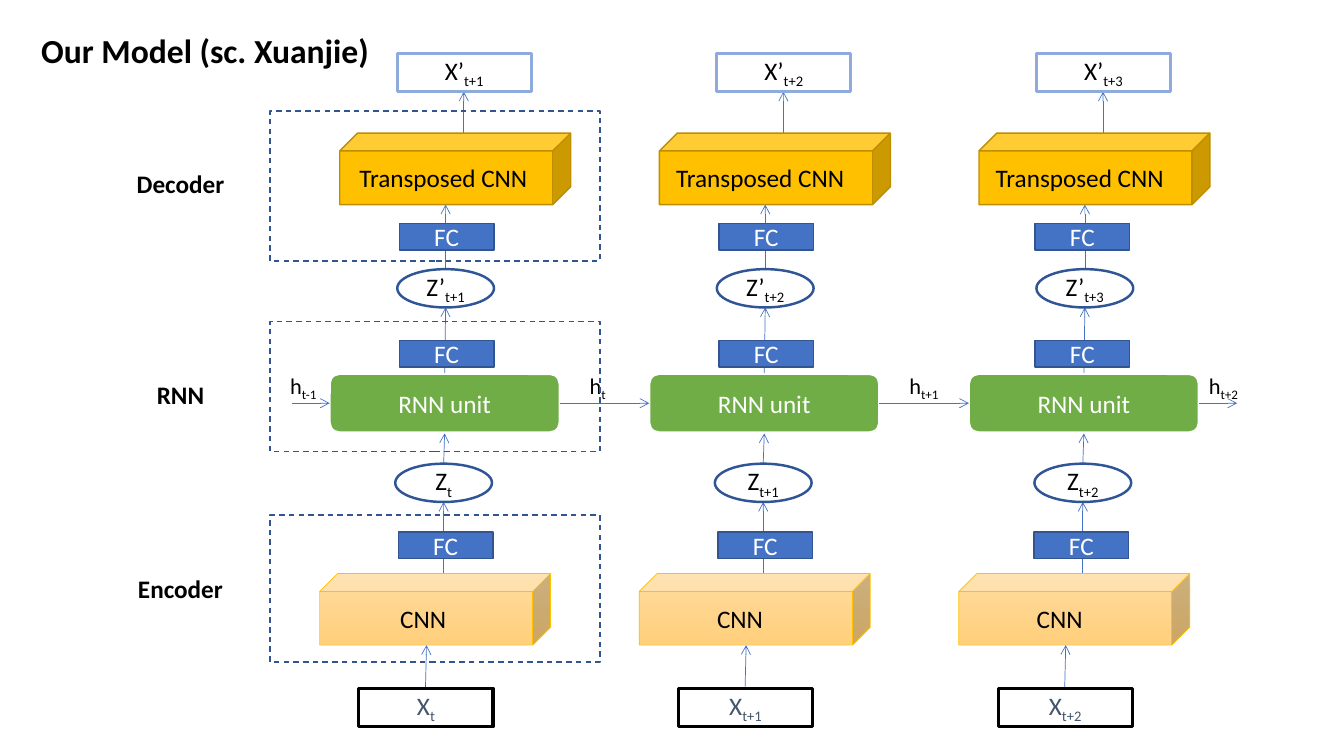
import pptx
import pptx.util
import pptx.dml.color
import pptx.enum.dml
import pptx.enum.shapes
import pptx.enum.text
import pptx.oxml
import pptx.oxml.ns

KIND = pptx.enum.shapes.MSO_SHAPE
ALIGN = pptx.enum.text.PP_ALIGN
HUES = {
    "white": "FFFFFF", "black": "000000", "slate": "44546A",
    "blue": "4472C4", "navy": "325491", "ring": "2F5597", "sky": "8FAADC",
    "green": "70AD47", "gold": "FFC000", "bronze": "BD8E00",
    "cream": "FFDB9E", "peach": "FFD07C",
}


class Slide:
    font = "Calibri"
    cell = 0.1

    def __init__(self, deck):
        self.page = deck.slides.add_slide(deck.slide_layouts[6])

    def grid(self, *cells):
        return [pptx.util.Inches(self.cell * n) for n in cells]

    def hue(self, name):
        return pptx.dml.color.RGBColor.from_string(HUES[name])

    def paint(self, fill, name):
        if name is None:
            fill.background()
        elif isinstance(name, tuple):
            fill.gradient()
            fill.gradient_angle = 270
            for stop, part in zip(fill.gradient_stops, name):
                stop.color.rgb = self.hue(part)
        else:
            fill.solid()
            fill.fore_color.rgb = self.hue(name)

    def letter(self, frame, text, sub="", size=18, ink="black", bold=False, align=ALIGN.CENTER):
        frame.text = text
        para = frame.paragraphs[0]
        para.alignment = align
        if sub:
            low = para.add_run()
            low.text = sub
            low._r.get_or_add_rPr().set("baseline", "-25000")
        for run in para.runs:
            run.font.name = self.font
            run.font.size = pptx.util.Pt(size)
            run.font.bold = bold
            run.font.color.rgb = self.hue(ink)

    def shape(self, kind, box, fill, edge, width, text="", sub="", ink="black", dash=False, pad=1):
        item = self.page.shapes.add_shape(kind, *self.grid(*box))
        item.shadow.inherit = False
        self.paint(item.fill, fill)
        item.line.color.rgb = self.hue(edge)
        item.line.width = pptx.util.Pt(width)
        if dash:
            item.line.dash_style = pptx.enum.dml.MSO_LINE.DASH
        if text:
            item.text_frame.margin_right = self.grid(pad)[0]
            self.letter(item.text_frame, text, sub, ink=ink)

    def label(self, box, text, sub="", **style):
        item = self.page.shapes.add_textbox(*self.grid(*box))
        item.text_frame.word_wrap = True
        self.letter(item.text_frame, text, sub, **style)

    def arrow(self, *ends):
        line = self.page.shapes.add_connector(
            pptx.enum.shapes.MSO_CONNECTOR.STRAIGHT, *self.grid(*ends))
        line.line.color.rgb = self.hue("blue")
        line.line.width = pptx.util.Pt(0.5)
        tip = pptx.oxml.parse_xml(f'<a:tailEnd {pptx.oxml.ns.nsdecls("a")} type="arrow"/>')
        line.line._get_or_add_ln().append(tip)
        props = line._element.spPr
        props.append(pptx.oxml.parse_xml(f'<a:effectLst {pptx.oxml.ns.nsdecls("a")}/>'))


def step(n):
    return f"t+{n}" if n else "t"


deck = pptx.Presentation()
deck.slide_width = pptx.util.Inches(13.33)
deck.slide_height = pptx.util.Inches(7.5)
slide = Slide(deck)

PITCH = 31.7
RISES = [
    (42.2, 68.3, 42.3, 64), (44, 56.9, 44, 49.8), (44, 46, 44.1, 43),
    (44.1, 37.1, 44.2, 30.5), (44.2, 26.7, 44.2, 20.3), (46, 13.2, 46, 9.1),
]
DENSE = [(39.5, 52.8), (39.6, 33.8), (39.6, 22.2)]

for n, (nudge, pad) in enumerate([(0, 1.57), (0, 2.13), (-0.35, 2.13)]):
    x = n * PITCH
    for left, top, right, end in RISES:
        slide.arrow(x + left, top, x + right, end)
    slide.shape(KIND.CUBE, (x + 31.7, 56.9, 22.9, 7.1), ("cream", "peach"), "gold", 0.5,
                "CNN", pad=pad)
    slide.shape(KIND.ROUNDED_RECTANGLE, (x + 32.7, 37.1, 22.8, 5.8), "green", "white", 1.5,
                "RNN unit", ink="white")
    slide.shape(KIND.CUBE, (x + 33.7, 13.2, 22.9, 7.1), "gold", "bronze", 1,
                "Transposed CNN", pad=pad)
    for left, top in DENSE:
        slide.shape(KIND.RECTANGLE, (x + left + nudge, top, 9.4, 2.6), "blue", "navy", 1,
                    "FC", ink="white")
    slide.shape(KIND.RECTANGLE, (x + 35.6, 68.3, 13.3, 3.8), None, "black", 2.25,
                "X", step(n), ink="slate")
    slide.shape(KIND.OVAL, (x + 39.2, 46, 9.6, 3.8), "white", "ring", 1.75, "Z", step(n))
    slide.shape(KIND.OVAL, (x + 39.4, 26.7, 9.6, 3.8), "white", "ring", 1.75, "Z’", step(n + 1))
    slide.shape(KIND.RECTANGLE, (x + 39.4, 5.3, 13.3, 3.8), "white", "sky", 2, "X’", step(n + 1))

STATES = [
    ("t-1", 27.8, 29, 32.7), ("t", 57.5, 55.5, 64.4),
    ("t+1", 89.2, 87.2, 96.1), ("t+2", 118.9, 118.9, 122.7),
]
for sub, left, start, end in STATES:
    slide.arrow(start, 40, end, 40)
    slide.label((left, 36.4, 5.9, 3.7), "h", sub, size=16, align=ALIGN.LEFT)

STAGES = [("Decoder", 16.2, 11, 14.9), ("RNN", 37.1, 31.9, 12.9), ("Encoder", 56.4, 51.1, 14.6)]
for name, row, top, tall in STAGES:
    slide.shape(KIND.RECTANGLE, (26.8, top, 32.7, tall), None, "navy", 1, dash=True)
    slide.label((9, row, 17.8, 4), name, bold=True)

slide.label((3.1, 2.5, 36, 5), "Our Model (sc. Xuanjie)", size=24, bold=True, align=ALIGN.LEFT)

deck.save("out.pptx")
